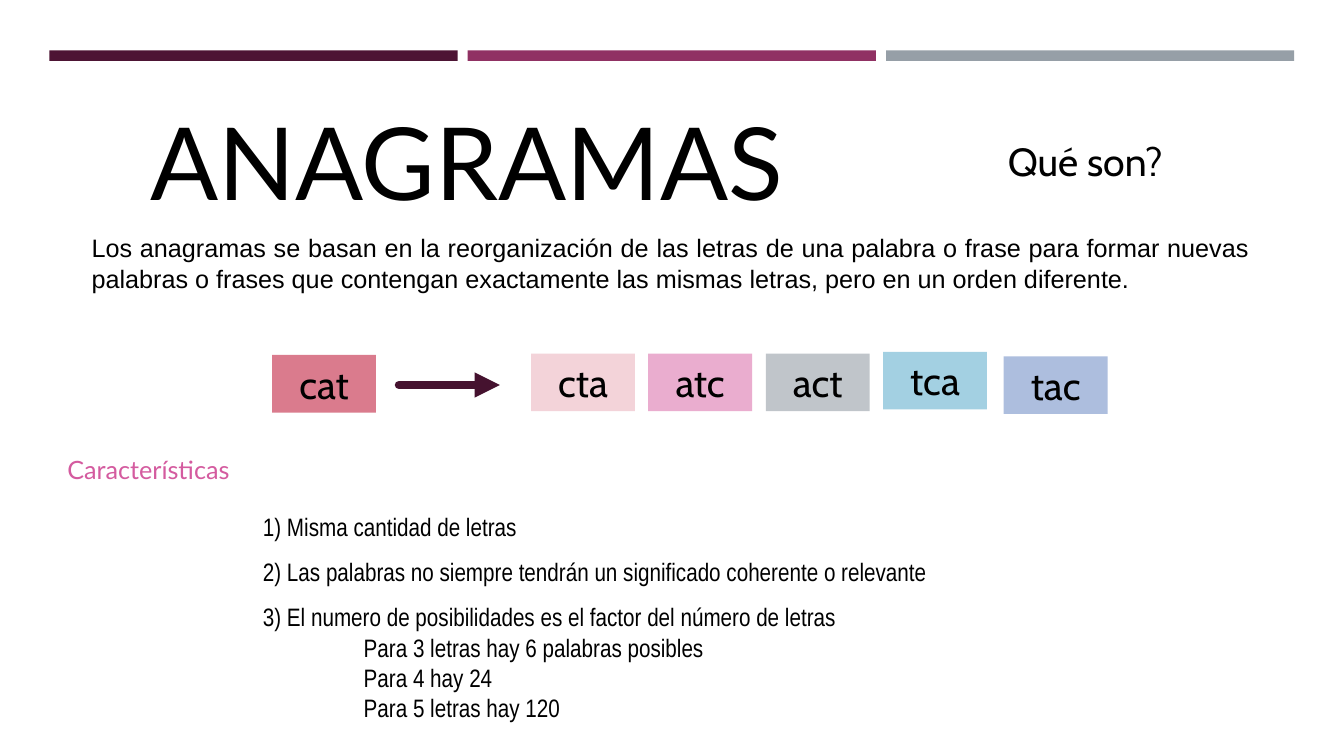
from dataclasses import dataclass

from lxml import etree
from pptx import Presentation
from pptx.dml.color import RGBColor
from pptx.enum.shapes import MSO_CONNECTOR as Connector
from pptx.enum.shapes import MSO_SHAPE as Shape
from pptx.enum.text import MSO_ANCHOR as Anchor
from pptx.enum.text import MSO_AUTO_SIZE as AutoSize
from pptx.enum.text import PP_ALIGN as Align
from pptx.oxml.ns import qn
from pptx.slide import Slide
from pptx.text.text import TextFrame
from pptx.util import Pt

BLACK = RGBColor(0x00, 0x00, 0x00)
PINK = RGBColor(0xD4, 0x5B, 0x9F)
ARROW_PLUM = RGBColor(0x45, 0x12, 0x2F)
BAR_COLORS = (
    RGBColor(0x4D, 0x14, 0x34),
    RGBColor(0x90, 0x31, 0x63),
    RGBColor(0x96, 0x9F, 0xA7),
)

BAR_LEFT, BAR_TOP, BAR_WIDTH, BAR_HEIGHT = 35.3, 36, 291.6, 7.5
BAR_PITCH = 298.8
CARD_WIDTH, CARD_HEIGHT = 74.2, 41.2
SUBPOINT_INDENT = 72


@dataclass(frozen=True)
class Line:
    text: str
    spacing: float = 1.0
    indent: float = 0


@dataclass(frozen=True)
class TextBlock:
    left: float
    top: float
    width: float
    height: float
    lines: tuple[Line, ...]
    font: str
    size: float
    color: RGBColor = BLACK
    align: Align = Align.LEFT


@dataclass(frozen=True)
class WordCard:
    word: str
    left: float
    top: float
    fill: RGBColor


TITLE = TextBlock(100, 67.7, 531.4, 94.3, (Line("ANAGRAMAS"),), "Lato", 72)

TEXT_BLOCKS = (
    TextBlock(712.8, 94.3, 193.7, 41.2, (Line("Qué son?"),), "Cabin", 28),
    TextBlock(58.3, 162.7, 841, 50.9, (Line(
        "Los anagramas se basan en la reorganización de las letras de una palabra "
        "o frase para formar nuevas palabras o frases que contengan exactamente "
        "las mismas letras, pero en un orden diferente."),),
        "Arial", 18, align=Align.JUSTIFY),
    TextBlock(41, 321.1, 306.7, 29.1, (Line("Características"),), "Lato", 18, PINK),
    TextBlock(180.7, 350.6, 639.4, 170.6, (
        Line("1) Misma cantidad de letras", 1.5),
        Line("2) Las palabras no siempre tendrán un significado coherente o relevante", 1.5),
        Line("3) El numero de posibilidades es el factor del número de letras", 1.5),
        Line("Para 3 letras hay 6 palabras posibles", indent=SUBPOINT_INDENT),
        Line("Para 4 hay 24", indent=SUBPOINT_INDENT),
        Line("Para 5 letras hay 120", indent=SUBPOINT_INDENT),
    ), "Arial Narrow", 18),
)

WORD_CARDS = (
    WordCard("cat", 194.4, 253.5, RGBColor(0xDA, 0x7B, 0x8D)),
    WordCard("cta", 379.4, 252.5, RGBColor(0xF3, 0xD3, 0xD9)),
    WordCard("atc", 463, 252.5, RGBColor(0xEA, 0xAD, 0xCF)),
    WordCard("act", 547, 252.5, RGBColor(0xC0, 0xC5, 0xCA)),
    WordCard("tca", 630.8, 251.3, RGBColor(0xA3, 0xD0, 0xE2)),
    WordCard("tac", 717, 254.5, RGBColor(0xAD, 0xBE, 0xDE)),
)


def write_text(frame: TextFrame, block: TextBlock) -> None:
    frame.word_wrap = True
    frame.auto_size = AutoSize.SHAPE_TO_FIT_TEXT
    frame.vertical_anchor = Anchor.TOP
    for index, line in enumerate(block.lines):
        paragraph = frame.paragraphs[0] if index == 0 else frame.add_paragraph()
        paragraph.text = line.text
        paragraph.alignment = block.align
        paragraph.line_spacing = line.spacing
        paragraph.font.name = block.font
        paragraph.font.size = Pt(block.size)
        paragraph.font.color.rgb = block.color
        if line.indent:
            paragraph._p.get_or_add_pPr().set("marL", str(Pt(line.indent)))


def place_title(slide: Slide, block: TextBlock) -> None:
    title = slide.shapes.title
    title.left, title.top = Pt(block.left), Pt(block.top)
    title.width, title.height = Pt(block.width), Pt(block.height)
    write_text(title.text_frame, block)


def add_text_block(slide: Slide, block: TextBlock) -> None:
    box = slide.shapes.add_textbox(
        Pt(block.left), Pt(block.top), Pt(block.width), Pt(block.height))
    write_text(box.text_frame, block)


def add_rectangle(slide: Slide, left: float, top: float, width: float,
                  height: float, fill: RGBColor) -> TextFrame:
    """Draw a plain filled rectangle and return its text frame."""
    shape = slide.shapes.add_shape(
        Shape.RECTANGLE, Pt(left), Pt(top), Pt(width), Pt(height))
    shape.shadow.inherit = False
    shape.fill.solid()
    shape.fill.fore_color.rgb = fill
    shape.line.fill.background()
    return shape.text_frame


def add_word_card(slide: Slide, card: WordCard) -> None:
    frame = add_rectangle(
        slide, card.left, card.top, CARD_WIDTH, CARD_HEIGHT, card.fill)
    write_text(frame, TextBlock(
        card.left, card.top, CARD_WIDTH, CARD_HEIGHT,
        (Line(card.word),), "Cabin", 28, align=Align.CENTER))


def add_arrow(slide: Slide, start: float, end: float, y: float) -> None:
    arrow = slide.shapes.add_connector(
        Connector.STRAIGHT, Pt(start), Pt(y), Pt(end), Pt(y))
    arrow.line.color.rgb = ARROW_PLUM
    arrow.line.width = Pt(6)
    outline = arrow.line._get_or_add_ln()
    outline.set("cap", "rnd")
    etree.SubElement(outline, qn("a:round"))
    etree.SubElement(outline, qn("a:tailEnd"), type="triangle")
    etree.SubElement(arrow._element.spPr, qn("a:effectLst"))


def main() -> None:
    presentation = Presentation()
    presentation.slide_width, presentation.slide_height = Pt(960), Pt(540)
    title_only = presentation.slide_layouts[5]
    slide = presentation.slides.add_slide(title_only)

    for index, color in enumerate(BAR_COLORS):
        add_rectangle(slide, BAR_LEFT + index * BAR_PITCH, BAR_TOP,
                      BAR_WIDTH, BAR_HEIGHT, color)
    place_title(slide, TITLE)
    for block in TEXT_BLOCKS:
        add_text_block(slide, block)
    for card in WORD_CARDS:
        add_word_card(slide, card)
    add_arrow(slide, 285, 357, 275)

    presentation.save("out.pptx")


if __name__ == "__main__":
    main()
